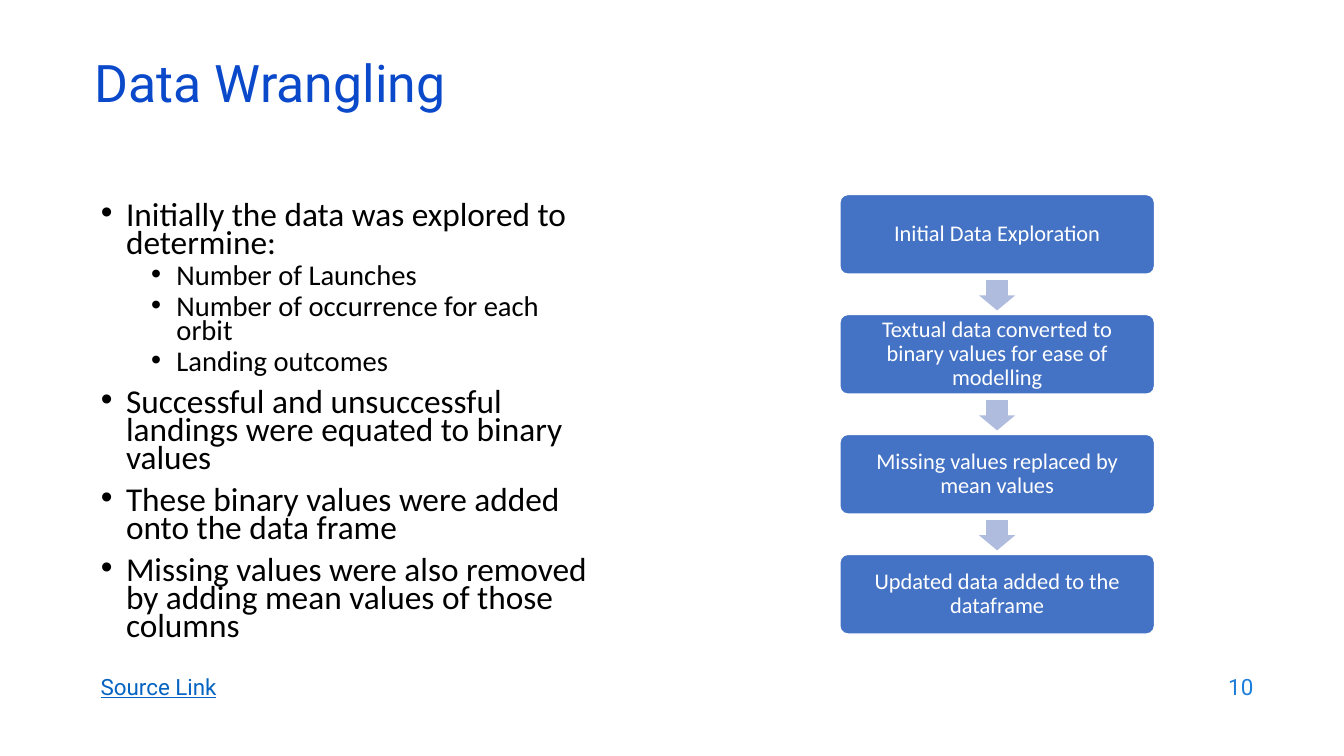
from dataclasses import dataclass

import pptx
import pptx.dml.color
import pptx.enum.shapes
import pptx.enum.text
import pptx.oxml.ns
import pptx.util
from lxml import etree

PX = 9144
COLORS = {
    "title": "0B49CB",
    "body": "000000",
    "number": "1C7DDB",
    "link": "0563C1",
    "box": "4472C4",
    "arrow": "B0BCDE",
    "white": "FFFFFF",
}
ALIGN = pptx.enum.text.PP_ALIGN
SHAPE = pptx.enum.shapes.MSO_SHAPE
Pt = pptx.util.Pt


@dataclass(frozen=True)
class Box:
    left: int
    top: int
    width: int
    height: int


@dataclass(frozen=True)
class Style:
    font: str
    size: float
    color: str
    align: ALIGN = ALIGN.LEFT
    spacing: float = 1.0
    underline: bool = False


@dataclass(frozen=True)
class Bullet:
    text: str
    level: int = 0


@dataclass(frozen=True)
class Level:
    style: Style
    indent: int
    before: int


TITLE = Style("Roboto", 37, "title", spacing=0.7)
NUMBER = Style("Roboto", 16, "number", ALIGN.RIGHT)
LINK = Style("Roboto", 16, "link", underline=True)
STEP = Style("Calibri", 16, "white", ALIGN.CENTER, 0.9)
LEVELS = [
    Level(Style("Calibri", 23.8, "body", spacing=0.7), 25, 10),
    Level(Style("Calibri", 20.4, "body", spacing=0.7), 75, 5),
]
HANGING = 25

BULLETS = [
    Bullet("Initially the data was explored to determine:"),
    Bullet("Number of Launches", 1),
    Bullet("Number of occurrence for each orbit", 1),
    Bullet("Landing outcomes", 1),
    Bullet("Successful and unsuccessful landings were equated to binary values"),
    Bullet("These binary values were added onto the data frame"),
    Bullet("Missing values were also removed by adding mean values of those columns"),
]
STEPS = [
    "Initial Data Exploration",
    "Textual data converted to binary values for ease of modelling",
    "Missing values replaced by mean values",
    "Updated data added to the dataframe",
]
FIRST_STEP = Box(833, 193, 312, 79)
FIRST_ARROW = Box(971, 278, 36, 30)
STEP_PITCH = 119


def apply(target, values: dict) -> None:
    for name, value in values.items():
        setattr(target, name, value)


def rgb(color: str) -> pptx.dml.color.RGBColor:
    return pptx.dml.color.RGBColor.from_string(COLORS[color])


def emu(box: Box) -> list[int]:
    return [v * PX for v in (box.left, box.top, box.width, box.height)]


def place(sp, box: Box) -> None:
    apply(sp, dict(zip(("left", "top", "width", "height"), emu(box))))


def format_frame(tf, anchor: pptx.enum.text.MSO_ANCHOR) -> None:
    apply(tf, {
        "word_wrap": True,
        "auto_size": pptx.enum.text.MSO_AUTO_SIZE.NONE,
        "vertical_anchor": anchor,
    })


def write(p, text: str, style: Style, before: int = 0) -> None:
    apply(p, {
        "text": text,
        "alignment": style.align,
        "line_spacing": style.spacing,
        "space_before": Pt(before),
    })
    apply(p.runs[0].font, {
        "name": style.font,
        "size": Pt(style.size),
        "underline": style.underline,
    })
    p.runs[0].font.color.rgb = rgb(style.color)


def write_line(sp, text: str, style: Style) -> None:
    format_frame(sp.text_frame, pptx.enum.text.MSO_ANCHOR.MIDDLE)
    write(sp.text_frame.paragraphs[0], text, style)


def add_label(slide, box: Box, text: str, style: Style) -> None:
    write_line(slide.shapes.add_textbox(*emu(box)), text, style)


def add_bullet_marks(p, indent: int) -> None:
    pPr = p._p.get_or_add_pPr()
    pPr.set("marL", str(indent * PX))
    pPr.set("indent", str(-HANGING * PX))
    qn = pptx.oxml.ns.qn
    etree.SubElement(pPr, qn("a:buFont")).set("typeface", "Arial")
    etree.SubElement(pPr, qn("a:buChar")).set("char", "•")


def fill_body(sp, bullets: list[Bullet]) -> None:
    tf = sp.text_frame
    format_frame(tf, pptx.enum.text.MSO_ANCHOR.TOP)
    for i, bullet in enumerate(bullets):
        p = tf.add_paragraph() if i else tf.paragraphs[0]
        level = LEVELS[bullet.level]
        p.level = bullet.level
        add_bullet_marks(p, level.indent)
        write(p, bullet.text, level.style, level.before if i else 0)


def add_block(slide, kind: SHAPE, box: Box, color: str, adjustments: list[float]):
    sp = slide.shapes.add_shape(kind, *emu(box))
    sp.shadow.inherit = False
    sp.fill.solid()
    sp.fill.fore_color.rgb = rgb(color)
    sp.line.fill.background()
    for i, value in enumerate(adjustments):
        sp.adjustments[i] = value
    return sp


def shifted(box: Box, row: int) -> Box:
    return Box(box.left, box.top + row * STEP_PITCH, box.width, box.height)


def add_flow(slide, steps: list[str]) -> None:
    for row, text in enumerate(steps):
        sp = add_block(slide, SHAPE.ROUNDED_RECTANGLE, shifted(FIRST_STEP, row), "box", [0.1])
        sp.line.color.rgb = rgb("white")
        sp.line.width = Pt(1)
        sides = ("left", "top", "right", "bottom")
        apply(sp.text_frame, {f"margin_{side}": 9 * PX for side in sides})
        write_line(sp, text, STEP)
        if row < len(steps) - 1:
            add_block(slide, SHAPE.DOWN_ARROW, shifted(FIRST_ARROW, row), "arrow", [0.6, 0.5])


def main() -> None:
    prs = pptx.Presentation()
    apply(prs, {"slide_width": 1333 * PX, "slide_height": 750 * PX})
    slide = prs.slides.add_slide(prs.slide_layouts[1])
    title, body = slide.placeholders
    place(title, Box(84, 59, 1150, 60))
    write_line(title, "Data Wrangling", TITLE)
    place(body, Box(90, 197, 507, 462))
    fill_body(body, BULLETS)
    add_flow(slide, STEPS)
    add_label(slide, Box(90, 659, 300, 44), "Source Link", LINK)
    add_label(slide, Box(953, 659, 300, 44), "10", NUMBER)
    prs.save("out.pptx")


if __name__ == "__main__":
    main()
